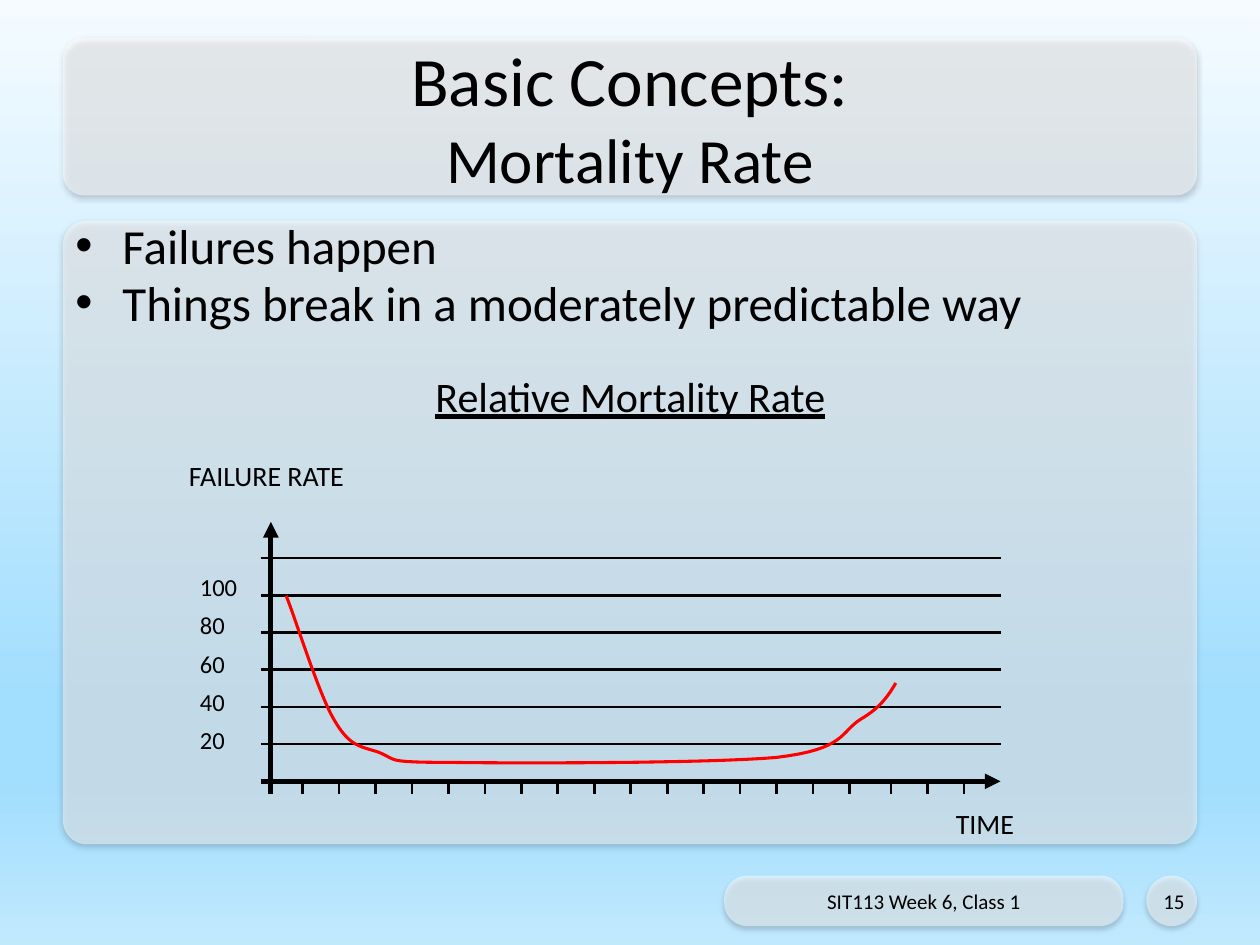
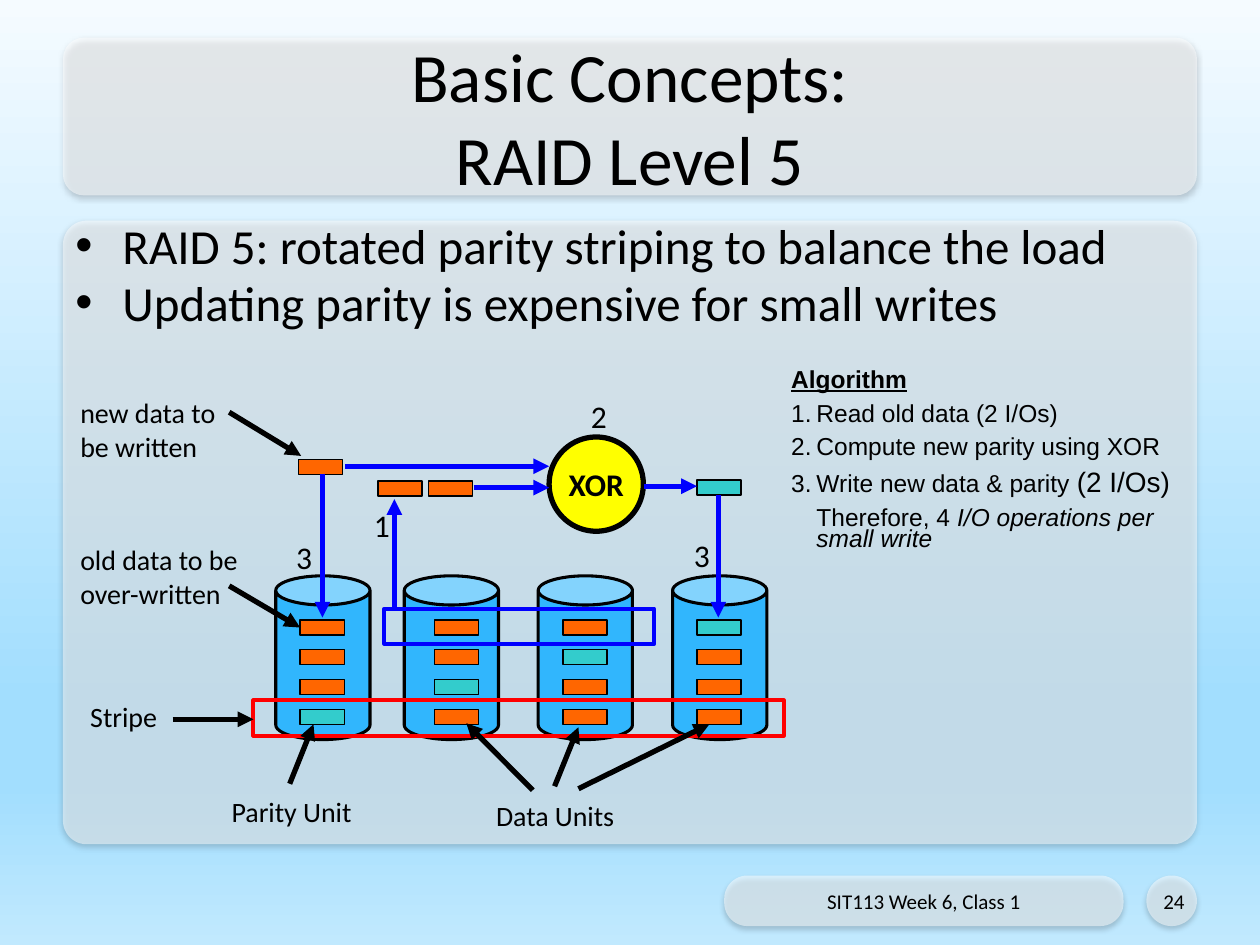
"""Build two lecture slides: a mortality rate curve and a RAID 5 small write."""
from lxml import etree
from pptx import Presentation
from pptx.dml.color import RGBColor
from pptx.enum.shapes import MSO_CONNECTOR, MSO_SHAPE
from pptx.enum.text import MSO_ANCHOR, MSO_AUTO_SIZE, PP_ALIGN
from pptx.oxml.ns import qn
from pptx.util import Cm, Pt

BLACK = RGBColor(0x00, 0x00, 0x00)
WHITE = RGBColor(0xFF, 0xFF, 0xFF)
RED = RGBColor(0xFF, 0x00, 0x00)
BLUE = RGBColor(0x00, 0x00, 0xFF)
YELLOW = RGBColor(0xFF, 0xFF, 0x00)
DISK_BLUE = RGBColor(0x31, 0xB6, 0xFD)
DATA_ORANGE = RGBColor(0xFF, 0x66, 0x00)
PARITY_TEAL = RGBColor(0x33, 0xCC, 0xCC)
SKY_STOPS = [
    (0, RGBColor(0xF5, 0xFB, 0xFF)),
    (74, RGBColor(0xA2, 0xDE, 0xFE)),
    (83, RGBColor(0xA2, 0xDE, 0xFE)),
    (100, RGBColor(0xC1, 0xE9, 0xFE)),
]

LEFT, CENTER, RIGHT = PP_ALIGN.LEFT, PP_ALIGN.CENTER, PP_ALIGN.RIGHT
TOP, MIDDLE = MSO_ANCHOR.TOP, MSO_ANCHOR.MIDDLE
RECTANGLE, ROUNDED = MSO_SHAPE.RECTANGLE, MSO_SHAPE.ROUNDED_RECTANGLE
OVAL, CAN = MSO_SHAPE.OVAL, MSO_SHAPE.CAN
STRAIGHT = MSO_CONNECTOR.STRAIGHT
NO_AUTOFIT = MSO_AUTO_SIZE.NONE

TITLE_AREA = (1.27, 0.76, 22.86, 3.18)
BODY_AREA = (1.27, 4.45, 22.86, 12.57)
FOOTER_AREA = (14.6, 17.65, 8.05, 1.02)
NUMBER_AREA = (23.11, 17.65, 1.02, 1.02)
PANELS = [(TITLE_AREA, 0.133), (BODY_AREA, 0.038),
          (FOOTER_AREA, 0.459), (NUMBER_AREA, 0.5)]

FAILURE_CURVE = [
    (5.77, 12.01),
    (5.94, 12.42), (6.43, 14), (6.73, 14.5),
    (7.04, 15.04), (7.24, 15.04), (7.62, 15.16),
    (8.03, 15.32), (7.72, 15.37), (9.07, 15.37),
    (10.41, 15.39), (14.27, 15.39), (15.65, 15.27),
    (17.04, 15.11), (16.94, 14.76), (17.35, 14.5),
    (17.75, 14.27), (17.91, 14.02), (18.06, 13.77),
]


def cm_all(values):
    """Turn numbers into centimetre lengths."""
    return [Cm(value) for value in values]


def paint_background(deck):
    """Give the slide master the sky gradient."""
    fill = deck.slide_master.background.fill
    fill.gradient()
    fill.gradient_angle = 270
    stops = deck.slide_master.element.find(".//" + qn("a:gsLst"))
    for stop in list(stops):
        stops.remove(stop)
    for percent, color in SKY_STOPS:
        stop = etree.SubElement(stops, qn("a:gs"), pos=str(percent * 1000))
        etree.SubElement(stop, qn("a:srgbClr"), val=str(color))


def style_span(span, size, font="Calibri", color=BLACK):
    """Set the font of one run."""
    span.font.name = font
    span.font.size = Pt(size)
    span.font.color.rgb = color


def add_label(page, area, text, size, align=LEFT, anchor=TOP):
    """Add a single-paragraph text box."""
    box = page.shapes.add_textbox(*cm_all(area))
    frame = box.text_frame
    frame.word_wrap = True
    frame.vertical_anchor = anchor
    frame.text = text
    para = frame.paragraphs[0]
    para.alignment = align
    style_span(para.runs[0], size)
    return box


def add_figure(page, kind, area, fill=None, line=BLACK, width=0.75):
    """Add a preset shape without a theme shadow."""
    shape = page.shapes.add_shape(kind, *cm_all(area))
    shape.shadow.inherit = False
    if fill is None:
        shape.fill.background()
    else:
        shape.fill.solid()
        shape.fill.fore_color.rgb = fill
    if line is None:
        shape.line.fill.background()
    else:
        shape.line.color.rgb = line
        shape.line.width = Pt(width)
    return shape


def add_panel(page, area, rounding):
    """Add a translucent rounded panel with a soft shadow."""
    panel = add_figure(page, ROUNDED, area, WHITE, None)
    panel.adjustments[0] = rounding
    properties = panel.element.spPr
    tint = properties.find(qn("a:solidFill")).find(qn("a:srgbClr"))
    etree.SubElement(tint, qn("a:alpha"), val="50000")
    shadow = etree.SubElement(
        properties.find(qn("a:effectLst")), qn("a:outerShdw"),
        blurRad=str(Pt(3.1)), dist=str(Pt(1.8)), dir="5400000", rotWithShape="0")
    shade = etree.SubElement(shadow, qn("a:srgbClr"), val=str(BLACK))
    etree.SubElement(shade, qn("a:alpha"), val="35000")


def add_line(page, start, end, color=BLACK, width=3, arrow=True):
    """Add a straight line, with an arrowhead at its end if wanted."""
    line = page.shapes.add_connector(STRAIGHT, *cm_all(start + end))
    line.line.color.rgb = color
    line.line.width = Pt(width)
    properties = line.element.spPr
    if arrow:
        etree.SubElement(properties.find(qn("a:ln")), qn("a:tailEnd"), type="triangle")
    etree.SubElement(properties, qn("a:effectLst"))


def set_bullet(para, indent, tag, **attributes):
    """Give a paragraph a hanging bullet or number."""
    properties = para._p.get_or_add_pPr()
    properties.set("marL", str(Cm(indent)))
    properties.set("indent", str(-Cm(indent)))
    if tag == "a:buChar":
        etree.SubElement(properties, qn("a:buFont"), typeface="Arial")
    etree.SubElement(properties, qn(tag), **attributes)


def set_title(page, lines, sizes):
    """Fill the title placeholder with two lines and bring it forward."""
    title = page.shapes.title
    title.left, title.top, title.width, title.height = cm_all(TITLE_AREA)
    frame = title.text_frame
    frame.text = "\v".join(lines)
    frame.auto_size = NO_AUTOFIT
    frame.vertical_anchor = MIDDLE
    para = frame.paragraphs[0]
    para.alignment = CENTER
    for span, size in zip(para.runs, sizes):
        style_span(span, size)
    line_break = para._p.find(qn("a:br"))
    etree.SubElement(line_break, qn("a:rPr"), sz=str(round(sizes[0] * 100)))
    page.shapes.element.append(title.element)


def add_bullets(page, lines):
    """Add the bulleted body text."""
    frame = add_label(page, BODY_AREA, lines[0], 28).text_frame
    for line in lines[1:]:
        para = frame.add_paragraph()
        para.text = line
        para.space_before = Pt(5.6)
        style_span(para.runs[0], 28)
    for para in frame.paragraphs:
        set_bullet(para, 0.95, "a:buChar", char="•")
        para.line_spacing = 0.8


def add_page(deck, title_lines, title_sizes, bullets, number):
    """Add a slide with panels, title, bullets and footer."""
    page = deck.slides.add_slide(deck.slide_layouts[5])
    for area, rounding in PANELS:
        add_panel(page, area, rounding)
    set_title(page, title_lines, title_sizes)
    add_bullets(page, bullets)
    add_label(page, FOOTER_AREA, "SIT113 Week 6, Class 1", 12, CENTER, MIDDLE)
    add_label(page, NUMBER_AREA, number, 12, RIGHT, MIDDLE)
    return page


def curve_points(controls, steps=16):
    """Sample a chain of cubic curves."""
    points = [controls[0]]
    for first in range(0, len(controls) - 1, 3):
        a, b, c, d = controls[first:first + 4]
        for step in range(1, steps + 1):
            t = step / steps
            s = 1 - t
            points.append(tuple(
                s ** 3 * a[i] + 3 * s * s * t * b[i] + 3 * s * t * t * c[i] + t ** 3 * d[i]
                for i in (0, 1)))
    return points


def add_curve(page, controls):
    """Draw the red failure curve."""
    start, *others = [cm_all(point) for point in curve_points(controls)]
    builder = page.shapes.build_freeform(*start)
    builder.add_line_segments(others, close=False)
    curve = builder.convert_to_shape()
    curve.shadow.inherit = False
    curve.fill.background()
    curve.line.color.rgb = RED
    curve.line.width = Pt(1.75)


def draw_mortality_graph(page):
    """Draw the axes, grid, ticks, labels and failure curve."""
    base = 15.75
    for row in range(1, 7):
        y = base - row * 0.75
        add_line(page, (5.26, y), (20.17, y), width=1.5, arrow=False)
    add_line(page, (5.26, base), (20.17, base))
    add_line(page, (5.46, 16), (5.46, 10.52))
    ticks = [6.1 + i * 0.735 for i in range(16)] + [17.96 + i * 0.735 for i in range(3)]
    for x in ticks:
        add_line(page, (x, base), (x, 16), width=1.5, arrow=False)
    add_curve(page, FAILURE_CURVE)
    for row, value in enumerate(range(100, 0, -20)):
        add_label(page, (3.78, 11.4 + row * 0.775, 1.57, 1.07), str(value), 14)
    add_label(page, (19.02, 16.13, 3.05, 1.17), "TIME", 16)
    add_label(page, (3.56, 9.12, 4.24, 1.17), "FAILURE RATE", 16)
    heading = add_label(page, (7.06, 7.34, 11.3, 1.6), "Relative Mortality Rate", 24, CENTER)
    heading.text_frame.paragraphs[0].runs[0].font.underline = True


def add_unit(page, x, y, color=DATA_ORANGE):
    """Add one data or parity unit."""
    add_figure(page, RECTANGLE, (x, y, 0.89, 0.3), color)


def draw_disks(page):
    """Draw four disks with rotated parity units."""
    for x in (5.56, 8.15, 10.85, 13.56):
        disk = add_figure(page, CAN, (x, 11.61, 1.9, 3.3), DISK_BLUE, width=1.75)
        disk.adjustments[0] = 0.309
    for row in range(4):
        for column, x in enumerate((6.05, 8.76, 11.35, 14.05)):
            color = PARITY_TEAL if row + column == 3 else DATA_ORANGE
            add_unit(page, x, 12.5 + row * 0.6, color)
    add_figure(page, RECTANGLE, (5.11, 14.12, 10.69, 0.71), None, RED, 2.25)
    add_figure(page, RECTANGLE, (7.75, 12.27, 5.44, 0.71), None, BLUE, 2.25)


def draw_write_flow(page):
    """Draw the units, arrows and step numbers of a small write."""
    for x, y in ((6.02, 9.27), (7.62, 9.7), (8.64, 9.7)):
        add_unit(page, x, y)
    add_unit(page, 14.05, 9.68, PARITY_TEAL)
    xor = add_figure(page, OVAL, (11.07, 8.81, 1.9, 1.9), YELLOW, width=3)
    frame = xor.text_frame
    frame.text = "XOR"
    frame.word_wrap = False
    frame.vertical_anchor = MIDDLE
    frame.paragraphs[0].alignment = CENTER
    span = frame.paragraphs[0].runs[0]
    style_span(span, 18)
    span.font.bold = True
    for start, end in (((7.95, 12.27), (7.95, 10.06)), ((6.5, 9.55), (6.5, 12.45)),
                       ((14.48, 9.98), (14.48, 12.45)), ((6.96, 9.4), (11.07, 9.4)),
                       ((9.55, 9.83), (11.07, 9.83)), ((12.98, 9.8), (14.05, 9.8))):
        add_line(page, start, end, BLUE)
    for step, x, y in (("1", 7.29, 10.08), ("2", 11.66, 7.87),
                       ("3", 5.72, 10.72), ("3", 13.74, 10.69)):
        add_label(page, (x, y, 1.09, 1.02), step, 18)


def draw_callouts(page):
    """Add the callout labels and their black arrows."""
    for text, area in (("new data to be written", (1.37, 7.85, 3.35, 1.63)),
                       ("old data to be over-written", (1.37, 10.82, 3.75, 1.63)),
                       ("Stripe", (1.57, 13.97, 2.03, 0.94)),
                       ("Parity Unit", (4.42, 15.9, 3.18, 0.94)),
                       ("Data Units", (9.75, 15.98, 3.18, 0.94))):
        add_label(page, area, text, 16)
    for start, end in (((4.62, 8.31), (6.07, 9.19)), ((4.62, 11.81), (6.05, 12.65)),
                       ((3.48, 14.5), (5.11, 14.5)), ((5.84, 15.8), (6.32, 14.6)),
                       ((11.18, 15.85), (11.66, 14.66)), ((11.66, 15.9), (14.3, 14.6)),
                       ((10.74, 15.93), (9.4, 14.58))):
        add_line(page, start, end)


def add_algorithm(page):
    """Add the numbered steps of the algorithm."""
    frame = add_label(page, (15.7, 7.37, 8.76, 4.06), "Algorithm", 14).text_frame
    heading = frame.paragraphs[0].runs[0]
    heading.font.bold = heading.font.underline = True
    for parts in (["Read old data (2 I/Os)"], ["Compute new parity using XOR"],
                  ["Write new data & parity ", "(2 I/Os)"],
                  ["Therefore, 4 ", "I/O operations per small write"]):
        para = frame.add_paragraph()
        para.space_before = Pt(7.6)
        for part in parts:
            para.add_run().text = part
    for para in frame.paragraphs:
        para.line_spacing = 0.7
        for span in para.runs:
            style_span(span, 14, "Arial")
    *steps, result = frame.paragraphs[1:]
    for para in steps:
        set_bullet(para, 0.51, "a:buAutoNum", type="arabicPeriod")
    steps[-1].runs[1].font.size = Pt(16)
    result._p.get_or_add_pPr().set("marL", str(Cm(0.51)))
    result.runs[1].font.italic = True


def main():
    """Build and save the deck."""
    deck = Presentation()
    deck.slide_width, deck.slide_height = Cm(25.4), Cm(19.05)
    paint_background(deck)
    page = add_page(deck, ["Basic Concepts:", "Mortality Rate"], [39.6, 36],
                    ["Failures happen", "Things break in a moderately predictable way"], "15")
    draw_mortality_graph(page)
    page = add_page(deck, ["Basic Concepts:", "RAID Level 5"], [39.6, 39.6],
                    ["RAID 5: rotated parity striping to balance the load",
                     "Updating parity is expensive for small writes"], "24")
    draw_disks(page)
    draw_write_flow(page)
    draw_callouts(page)
    add_algorithm(page)
    deck.save("out.pptx")


if __name__ == "__main__":
    main()
